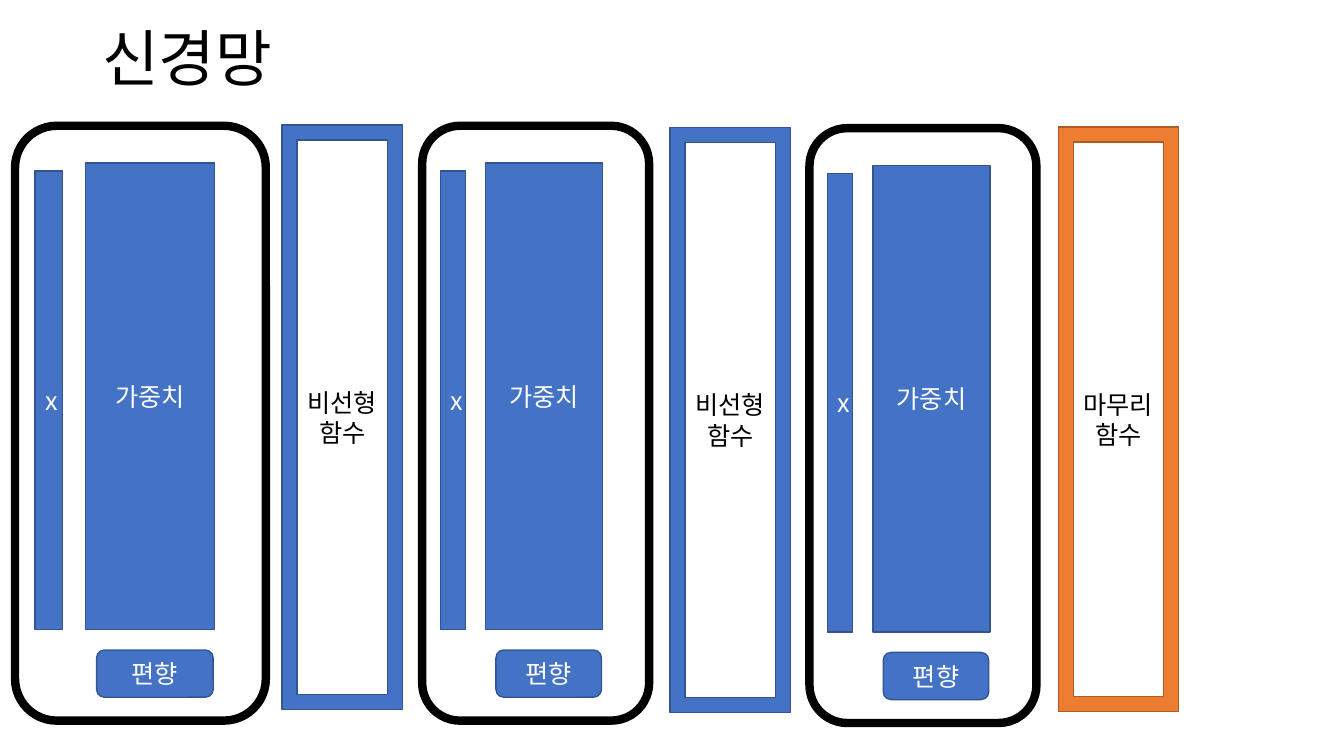
from lxml import etree
from pptx import Presentation
from pptx.dml.color import RGBColor
from pptx.enum import shapes, text
from pptx.oxml.ns import qn
from pptx.util import Cm, Pt

FONT = "Noto Sans CJK KR"
HUES = {
    "blue": "4472C4", "navy": "325491",
    "orange": "ED7D31", "brown": "AF5C24",
    "black": "000000", "white": "FFFFFF",
}
KIND = shapes.MSO_SHAPE

TITLE = "신경망"
# left, top, width of each layer (cm)
LAYERS = [(0.38, 3.17, 6.32), (10.64, 3.17, 5.72), (20.4, 3.23, 5.72)]
TALL = 14.99
# label, kind, left and width as shares of the layer, drop and height (cm)
PARTS = [
    ("x", KIND.RECTANGLE, 0.08, 0.11, 1.14, 11.56),
    ("가중치", KIND.RECTANGLE, 0.28, 0.515, 0.94, 11.76),
    ("편향", KIND.ROUNDED_RECTANGLE, 0.325, 0.465, 13.21, 1.19),
]
# lines, left, top (cm), fill, edge
FRAMES = [
    (["비선형", "함수"], 7.11, 3.15, "blue", "navy"),
    (["비선형", "함수"], 16.89, 3.22, "blue", "navy"),
    (["마무리", "함수"], 26.67, 3.2, "orange", "brown"),
]
FRAME_W, FRAME_H = 3.03, 14.73


def color(name):
    return RGBColor.from_string(HUES[name])


def write(shape, lines, size, hue, align):
    frame = shape.text_frame
    frame.word_wrap = True
    frame.vertical_anchor = text.MSO_ANCHOR.MIDDLE
    frame.text = "\n".join(lines)
    for para in frame.paragraphs:
        para.alignment = align
        font = para.font
        font.size = Pt(size)
        font.color.rgb = color(hue)
        font.name = FONT
        # Hangul takes the East Asian typeface
        props = para._p.find(qn("a:pPr")).find(qn("a:defRPr"))
        etree.SubElement(props, qn("a:ea")).set("typeface", FONT)
    return frame


def draw(home, kind, box, fill, edge, width):
    shape = home.add_shape(kind, *(Cm(n) for n in box))
    shape.shadow.inherit = False
    if fill:
        shape.fill.solid()
        shape.fill.fore_color.rgb = color(fill)
    else:
        shape.fill.background()
    shape.line.color.rgb = color(edge)
    shape.line.width = Pt(width)
    return shape


def add_layer(slide, left, top, width):
    group = slide.shapes.add_group_shape().shapes
    for label, kind, start, share, drop, high in PARTS:
        box = (left + start * width, top + drop, share * width, high)
        part = draw(group, kind, box, "blue", "navy", 1)
        write(part, [label], 18, "white", text.PP_ALIGN.CENTER)
    draw(group, KIND.ROUNDED_RECTANGLE, (left, top, width, TALL),
         None, "black", 6)


def main():
    deck = Presentation()
    deck.slide_width, deck.slide_height = Cm(33.87), Cm(19.05)
    slide = deck.slides.add_slide(deck.slide_layouts[6])

    title = slide.shapes.add_textbox(Cm(2.33), Cm(-0.28), Cm(29.21), Cm(3.68))
    head = write(title, [TITLE], 44, "black", text.PP_ALIGN.LEFT)
    head.paragraphs[0].line_spacing = 0.9

    for layer in LAYERS:
        add_layer(slide, *layer)
    for lines, left, top, fill, edge in FRAMES:
        box = (left, top, FRAME_W, FRAME_H)
        shape = draw(slide.shapes, KIND.FRAME, box, fill, edge, 1)
        body = write(shape, lines, 18, "black", text.PP_ALIGN.CENTER)
        body.margin_left = body.margin_right = Cm(0.2)

    deck.save("out.pptx")


if __name__ == "__main__":
    main()
